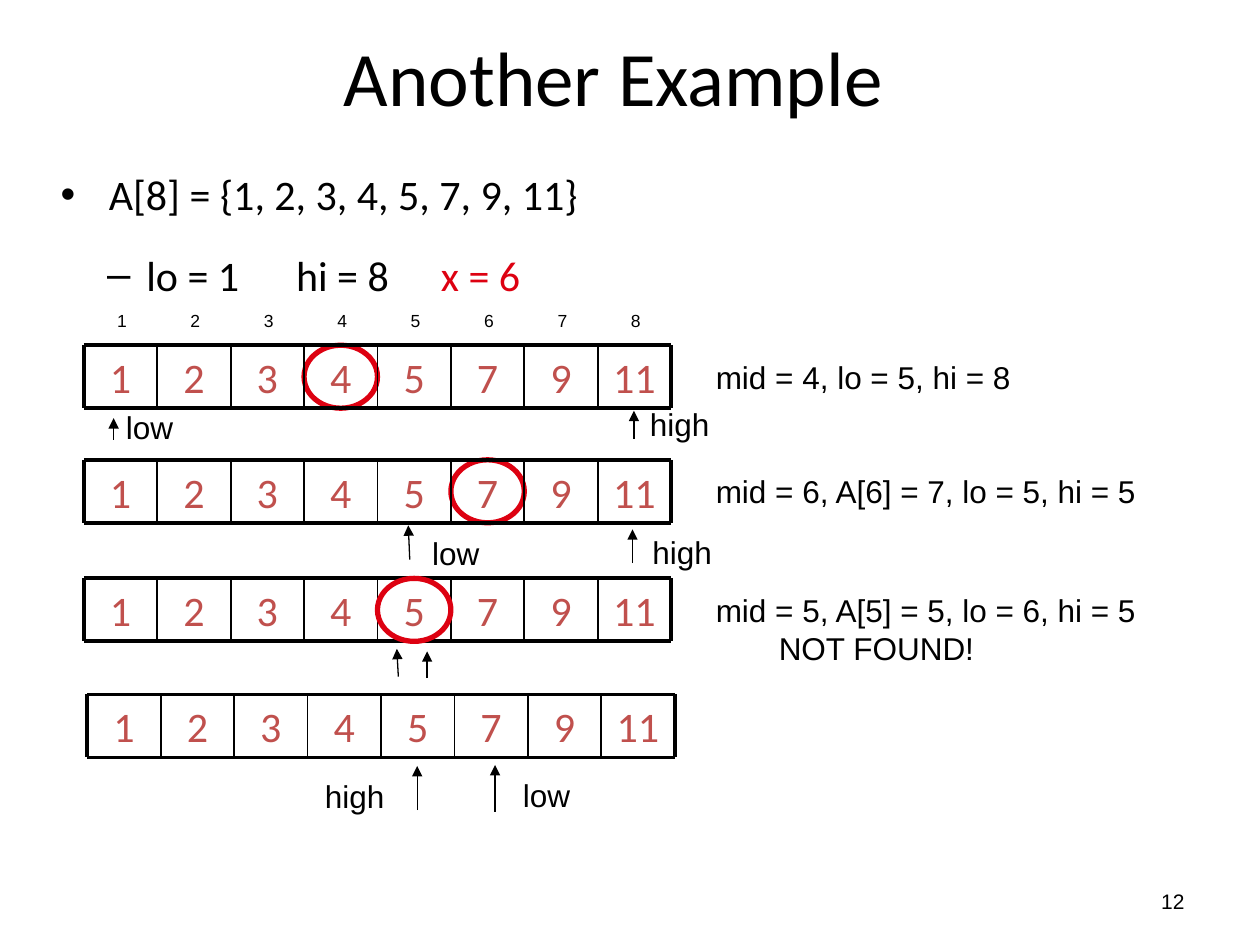
from dataclasses import dataclass

from lxml import etree
from pptx import Presentation, util as u
from pptx.dml.color import RGBColor
from pptx.enum import shapes, text
from pptx.oxml import ns

CENTER, RIGHT = text.PP_ALIGN.CENTER, text.PP_ALIGN.RIGHT
MIDDLE, TOP = text.MSO_ANCHOR.MIDDLE, text.MSO_ANCHOR.TOP
GROW, FIXED = text.MSO_AUTO_SIZE.SHAPE_TO_FIT_TEXT, text.MSO_AUTO_SIZE.NONE


@dataclass(frozen=True)
class Theme:
    black: str = "000000"
    red: str = "DD0111"
    value: str = "C0504D"
    heading: str = "Calibri"
    plain: str = "Arial"
    title: float = 44
    body: float = 24
    note: float = 18
    number: float = 12
    index: float = 10
    border: float = 2.25
    divider: float = 1
    arrow: float = 0.75
    ring: float = 3


T = Theme()
VALUES = [1, 2, 3, 4, 5, 7, 9, 11]
CELL_W, CELL_H = 1.48, 1.27
ROW_LEFT = 1.69
ROW_TOPS = [6.96, 9.27, 11.66]
LAST_LEFT, LAST_TOP = 1.76, 14.0


def cm(*lengths):
    return [u.Cm(n) for n in lengths]


def assign(obj, **values):
    for name, value in values.items():
        setattr(obj, name, value)


def add_xml(parent, tag, **attrs):
    return etree.SubElement(parent, ns.qn(tag), attrs)


class Deck:
    def __init__(self, theme):
        self.theme = theme
        self.prs = Presentation()
        assign(self.prs, slide_width=u.Cm(25.4), slide_height=u.Cm(19.05))
        self.s = self.prs.slides.add_slide(self.prs.slide_layouts[1])
        self.shapes = self.s.shapes

    def set_text(self, sp, lines, size, font, color=None, align=None,
                 anchor=TOP, fit=FIXED, wrap=True, before=None, spacing=None):
        """Fill sp; a line is a string or a list of (string, colour) runs."""
        tf = sp.text_frame
        assign(tf, word_wrap=wrap, auto_size=fit, vertical_anchor=anchor)
        for i, line in enumerate(lines):
            p = tf.paragraphs[0] if i == 0 else tf.add_paragraph()
            assign(p, alignment=align, line_spacing=spacing,
                   space_before=before)
            runs = [(line, color)] if isinstance(line, str) else line
            for words, run_color in runs:
                r = p.add_run()
                r.text = words
                assign(r.font, size=u.Pt(size), name=font)
                r.font.color.rgb = RGBColor.from_string(
                    run_color or self.theme.black)
        return sp

    def placeholder(self, index, box, lines, size, **style):
        sp = self.s.placeholders[index]
        assign(sp, **dict(zip(("left", "top", "width", "height"), cm(*box))))
        return self.set_text(sp, lines, size, self.theme.heading, **style)

    def label(self, box, lines, size, font=None, **style):
        sp = self.shapes.add_textbox(*cm(*box))
        return self.set_text(sp, lines, size, font or self.theme.plain,
                             **style)

    def bullet(self, sp, char, margin, hang, level=0, tabs=()):
        """Give the only paragraph of sp a hanging bullet and tab stops."""
        p = sp.text_frame.paragraphs[0]
        p.level = level
        pPr = p._p.get_or_add_pPr()
        pPr.set("marL", str(u.Cm(margin)))
        pPr.set("indent", str(-u.Cm(hang)))
        add_xml(pPr, "a:buFont", typeface=self.theme.plain)
        add_xml(pPr, "a:buChar", char=char)
        if tabs:
            stops = add_xml(pPr, "a:tabLst")
            for stop in tabs:
                add_xml(stops, "a:tab", pos=str(u.Cm(stop)), algn="l")

    def line(self, x1, y1, x2, y2, width, arrow=False):
        sp = self.shapes.add_connector(shapes.MSO_CONNECTOR.STRAIGHT,
                                       *cm(x1, y1, x2, y2))
        sp.line.width = u.Pt(width)
        sp.line.color.rgb = RGBColor.from_string(self.theme.black)
        spPr = sp.element.spPr
        if arrow:
            add_xml(spPr.find(ns.qn("a:ln")), "a:tailEnd", type="triangle")
        add_xml(spPr, "a:effectLst")

    def ring(self, position, top):
        """Circle the cell at a 1-based position."""
        sp = self.shapes.add_shape(
            shapes.MSO_SHAPE.OVAL,
            *cm(ROW_LEFT + (position - 1) * CELL_W, top, CELL_W, CELL_H))
        sp.shadow.inherit = False
        sp.fill.background()
        sp.line.width = u.Pt(self.theme.ring)
        sp.line.color.rgb = RGBColor.from_string(self.theme.red)

    def array_row(self, left, top, indexed=False):
        """Draw the array as one group of cells, optionally with indices."""
        t = self.theme
        self.shapes = self.s.shapes.add_group_shape().shapes
        count = len(VALUES)
        right, bottom = left + count * CELL_W, top + CELL_H
        for i, value in enumerate(VALUES):
            x = left + i * CELL_W
            self.label((x, top, CELL_W, CELL_H), [str(value)], t.body,
                       t.heading, color=t.value, align=CENTER, anchor=MIDDLE,
                       before=u.Pt(4.8))
            if indexed:
                self.label((x + 0.42, top - 0.84, 0.64, 0.69), [str(i + 1)],
                           t.index, fit=GROW)
        for y in (top, bottom):
            self.line(left, y, right, y, t.border)
        for i in range(count + 1):
            x = left + i * CELL_W
            self.line(x, top, x, bottom,
                      t.border if i in (0, count) else t.divider)
        self.shapes = self.s.shapes


def main():
    d = Deck(T)
    d.placeholder(0, (0.94, 0.28, 22.86, 2.51), ["Another Example"], T.title,
                  align=CENTER, anchor=MIDDLE)
    array = d.placeholder(1, (0.97, 3.38, 22.94, 1.27),
                          ["A[8] = {1, 2, 3, 4, 5, 7, 9, 11}"], T.body,
                          before=u.Pt(4.8), spacing=0.9)
    d.bullet(array, "•", 0.97, 0.97)
    search = d.label((0.64, 4.9, 22.94, 1.47),
                     [[("lo = 1\thi = 8\t", T.black), ("x = 6", T.red)]],
                     T.body, T.heading, before=u.Pt(4.8))
    d.bullet(search, "–", 2.06, 0.79, level=1, tabs=(5.08, 8.0))

    first, second, third = ROW_TOPS
    d.ring(4, first)
    d.ring(6, second)
    for top in ROW_TOPS:
        d.array_row(ROW_LEFT, top, indexed=top == first)
    d.array_row(LAST_LEFT, LAST_TOP)
    d.ring(5, third)

    notes = [(first, 7.62, ["mid = 4, lo = 5, hi = 8"]),
             (second, 9.53, ["mid = 6, A[6] = 7, lo = 5, hi = 5"]),
             (third, 9.53, ["mid = 5, A[5] = 5, lo = 6, hi = 5",
                            "\tNOT FOUND!"])]
    for top, width, lines in notes:
        d.label((14.18, top + 0.13, width, 0.25 + 0.77 * len(lines)), lines,
                T.note, fit=GROW)

    arrows = [(2.29, 8.86, 2.29, 8.43), (12.78, 8.84, 12.78, 8.28),
              (8.26, 11.28, 8.23, 10.59), (12.75, 11.35, 12.75, 10.67),
              (8.03, 13.64, 8.0, 13.08), (8.61, 13.67, 8.61, 13.13),
              (9.98, 16.36, 9.98, 15.42), (8.41, 16.33, 8.41, 15.44)]
    for ends in arrows:
        d.line(*ends, T.arrow, arrow=True)

    widths = {"low": 1.47, "high": 1.7}
    pointers = [("low", 2.29, 8.1), ("high", 12.85, 8.05),
                ("low", 8.46, 10.64), ("high", 12.9, 10.62),
                ("low", 10.29, 15.52), ("high", 6.3, 15.54)]
    for name, x, y in pointers:
        d.label((x, y, widths[name], 1.02), [name], T.note, fit=GROW,
                wrap=False)
    d.label((18.21, 17.65, 5.92, 1.02), ["12"], T.number, align=RIGHT,
            anchor=MIDDLE)
    d.prs.save("out.pptx")


if __name__ == "__main__":
    main()
